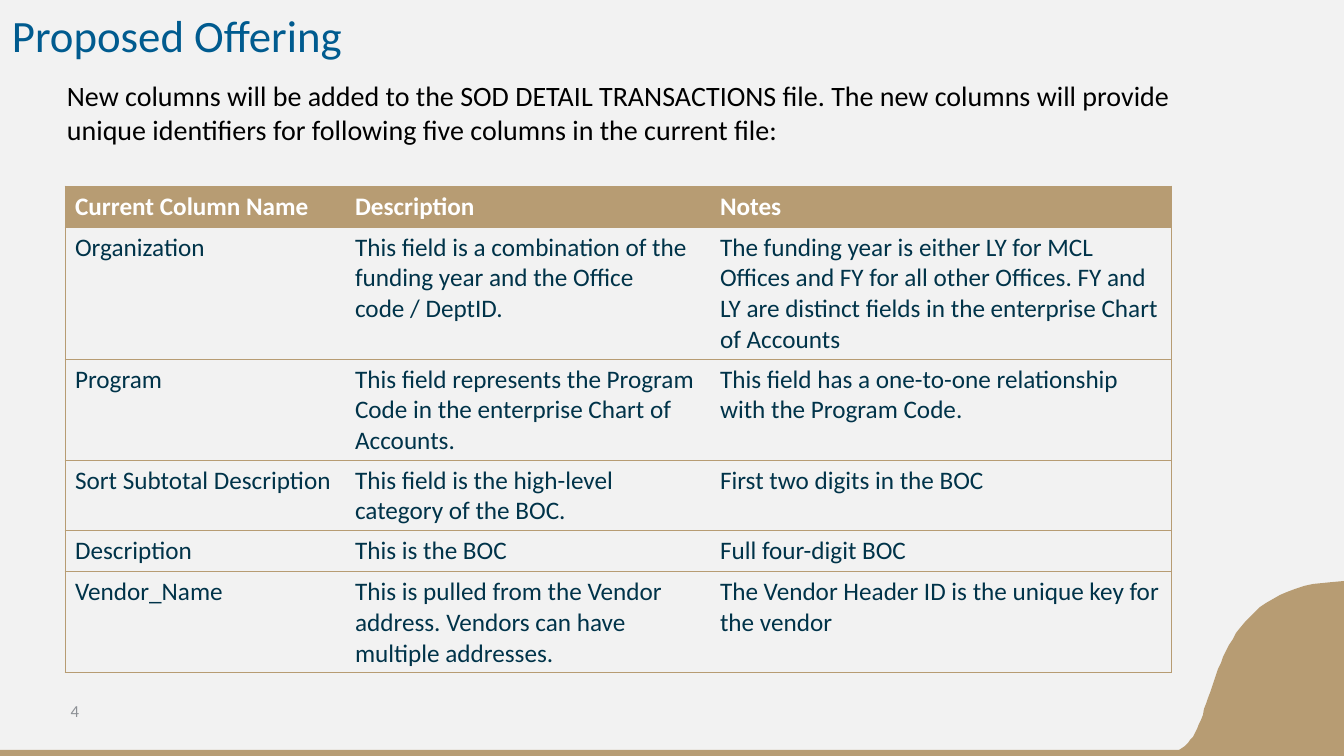
from lxml.etree import SubElement
from pptx import Presentation
from pptx.dml.color import RGBColor
from pptx.enum.shapes import MSO_SHAPE
from pptx.enum.text import MSO_ANCHOR, PP_ALIGN
from pptx.oxml.ns import qn
from pptx.util import Emu, Pt

SCALE = 914400 / 100.8
COLORS = {
    "back": "F2F2F2",
    "tan": "B79C73",
    "title": "005B8F",
    "cell": "003349",
    "number": "8C9095",
    "white": "FFFFFF",
    "black": "000000",
}
COL_WIDTHS = [280, 365, 461]
ROW_HEIGHTS = [41, 132, 101, 70, 41, 100]
ROWS = [
    ("Current Column Name", "Description", "Notes"),
    ("Organization",
     "This field is a combination of the funding year and the Office code / DeptID.",
     "The funding year is either LY for MCL Offices and FY for all other Offices. "
     "FY and LY are distinct fields in the enterprise Chart of Accounts"),
    ("Program",
     "This field represents the Program Code in the enterprise Chart of Accounts.",
     "This field has a one-to-one relationship with the Program Code."),
    ("Sort Subtotal Description",
     "This field is the high-level category of the BOC.",
     "First two digits in the BOC"),
    ("Description", "This is the BOC", "Full four-digit BOC"),
    ("Vendor_Name",
     "This is pulled from the Vendor address. Vendors can have multiple addresses.",
     "The Vendor Header ID is the unique key for the vendor"),
]


def px(n):
    return Emu(round(n * SCALE))


def rgb(name):
    return RGBColor.from_string(COLORS[name])


def write(tf, text, size=18, color="black", bold=False, align=PP_ALIGN.LEFT,
          spacing=None, font="Calibri"):
    p = tf.paragraphs[0]
    p.alignment = align
    if spacing:
        p.line_spacing = spacing
    r = p.add_run()
    r.text = text
    r.font.name = font
    r.font.size = Pt(size)
    r.font.bold = bold
    r.font.color.rgb = rgb(color)


def bezier(p0, p1, p2, p3, steps=40):
    for i in range(1, steps + 1):
        t = i / steps
        u = 1 - t
        yield tuple(u**3 * a + 3 * u * u * t * b + 3 * u * t * t * c + t**3 * d
                    for a, b, c, d in zip(p0, p1, p2, p3))


class SlideBuilder:
    def __init__(self, prs):
        self.s = prs.slides.add_slide(prs.slide_layouts[6])
        bg = self.s.background.fill
        bg.solid()
        bg.fore_color.rgb = rgb("back")

    def paint(self, sp, color):
        sp.shadow.inherit = False
        sp.fill.solid()
        sp.fill.fore_color.rgb = rgb(color)
        sp.line.fill.background()

    def rect(self, x, y, w, h, color):
        sp = self.s.shapes.add_shape(MSO_SHAPE.RECTANGLE, px(x), px(y), px(w), px(h))
        self.paint(sp, color)

    def outline(self, points, color):
        fb = self.s.shapes.build_freeform(*points[0], scale=SCALE)
        fb.add_line_segments(points[1:], close=True)
        self.paint(fb.convert_to_shape(), color)

    def text(self, x, y, w, h, text, anchor=MSO_ANCHOR.TOP, inset=True, **fmt):
        tf = self.s.shapes.add_textbox(px(x), px(y), px(w), px(h)).text_frame
        tf.word_wrap = True
        tf.vertical_anchor = anchor
        if not inset:
            tf.margin_left = tf.margin_right = tf.margin_top = tf.margin_bottom = 0
        write(tf, text, **fmt)

    def borders(self, cell, visible, color):
        tc_pr = cell._tc.get_or_add_tcPr()
        for i, side in enumerate("LRTB"):
            ln = SubElement(tc_pr, qn(f"a:ln{side}"), w=str(Pt(0.5)))
            if side in visible:
                fill = SubElement(ln, qn("a:solidFill"))
                SubElement(fill, qn("a:srgbClr"), val=COLORS[color])
            else:
                SubElement(ln, qn("a:noFill"))
            tc_pr.insert(i, ln)

    def table(self, x, y, widths, heights, rows):
        table = self.s.shapes.add_table(len(rows), len(widths), px(x), px(y),
                                        px(sum(widths)), px(sum(heights))).table
        table.horz_banding = False
        for col, w in zip(table.columns, widths):
            col.width = px(w)
        for row, h in zip(table.rows, heights):
            row.height = px(h)
        for i, row in enumerate(rows):
            for j, text in enumerate(row):
                cell = table.cell(i, j)
                header = i == 0
                if header:
                    cell.fill.solid()
                    cell.fill.fore_color.rgb = rgb("tan")
                else:
                    cell.fill.background()
                write(cell.text_frame, text, bold=header,
                      color="white" if header else "cell")
                visible = "TB" + "L" * (j == 0) + "R" * (j == len(row) - 1)
                self.borders(cell, visible, "tan")


def main():
    prs = Presentation()
    prs.slide_width, prs.slide_height = px(1344), px(756)
    b = SlideBuilder(prs)
    b.rect(0, 750, 1344, 13, "tan")
    foot, top = (1176, 751), (1344, 581)
    curve = bezier(foot, (1223, 738), (1192, 585), top)
    b.outline([top, (1344, 752), foot, *curve], "tan")
    b.text(47, 691, 56, 40, "4", anchor=MSO_ANCHOR.MIDDLE, size=12,
           color="number", align=PP_ALIGN.CENTER)
    b.text(12, 15, 996, 47, "Proposed Offering", anchor=MSO_ANCHOR.BOTTOM,
           inset=False, size=32, color="title", spacing=0.9)
    b.text(57, 74, 1127, 78,
           "New columns will be added to the SOD DETAIL TRANSACTIONS file. "
           "The new columns will provide unique identifiers for following "
           "five columns in the current file:", size=20)
    b.table(65, 186, COL_WIDTHS, ROW_HEIGHTS, ROWS)
    prs.save("out.pptx")


if __name__ == "__main__":
    main()
